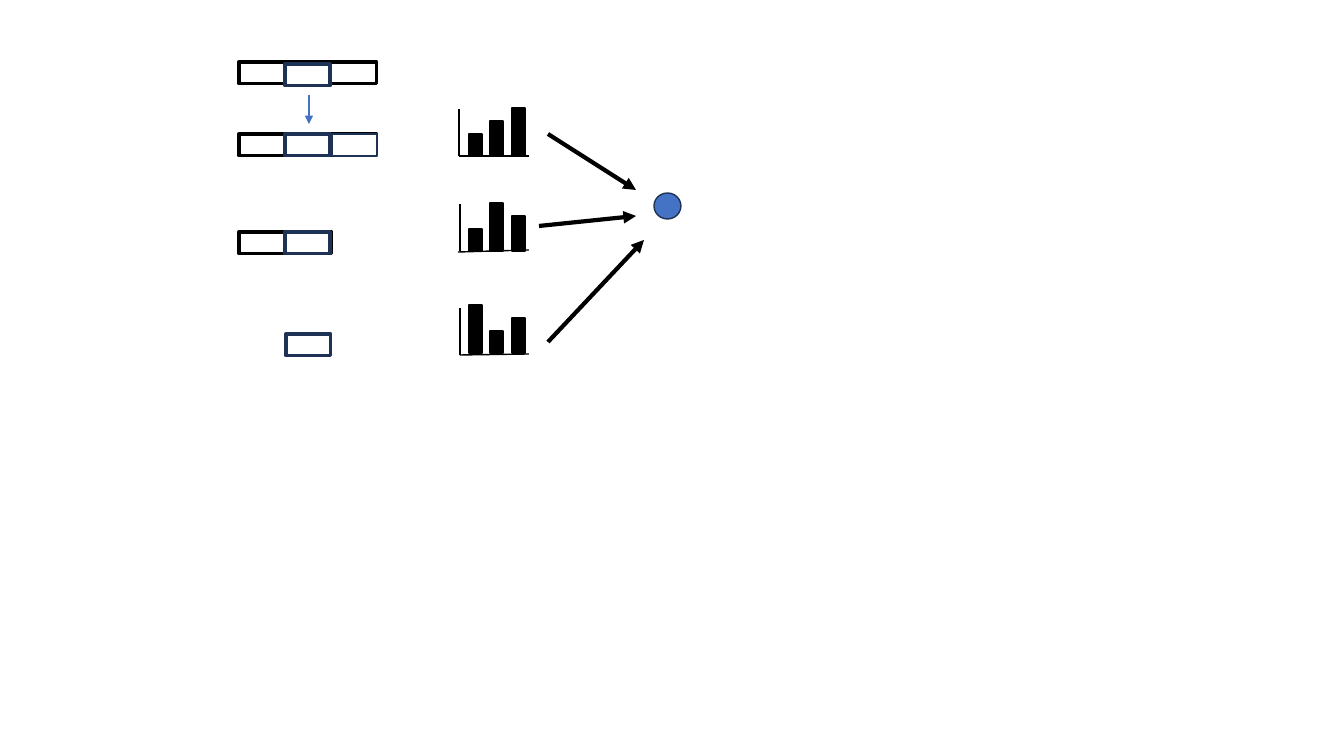
"""Build a slide of token windows, their distributions and a shared result node."""
from lxml.etree import SubElement
from pptx import Presentation
from pptx.dml.color import RGBColor
from pptx.enum.shapes import MSO_CONNECTOR as Connector, MSO_SHAPE as Shape
from pptx.oxml.ns import qn
from pptx.util import Pt

COLORS = {"white": "FFFFFF", "black": "000000", "navy": "1E3256", "blue": "4472C4"}
PX = 914400 / 100.8

CELL_HEIGHT = 22
CELLS = [
    (239, 62, 138, "black", 2.25),
    (239, 134, 138, "black", 2.25),
    (239, 232, 93, "black", 2.25),
    (285, 64, 45, "navy", 2.25),
    (332, 134, 45, "navy", 1),
    (285, 232, 45, "navy", 2.25),
    (285, 134, 45, "navy", 2.25),
    (286, 334, 45, "navy", 2.25),
]

BAR_LEFTS = (469, 490, 512)
BAR_WIDTH = 13
AXIS_HEIGHT = 47
DISTRIBUTIONS = [
    {"heights": (22, 35, 48), "base": 156, "axis": (459, 156), "start": (459, 156), "end": (529, 156)},
    {"heights": (22, 48, 35), "base": 251, "axis": (460, 251), "start": (458, 252), "end": (529, 250)},
    {"heights": (48, 22, 35), "base": 353, "axis": (460, 355), "start": (460, 355), "end": (529, 354)},
]

ARROWS = [
    ((309, 95), (309, 124), "blue", 1.5),
    ((548, 134), (636, 190), "black", 3),
    ((539, 226), (636, 216), "black", 3),
    ((548, 342), (644, 240), "black", 3),
]
NODE = (654, 193, 27, 26)


def emu(*lengths):
    return [round(length * PX) for length in lengths]


def add_box(slide, kind, box, fill, line, weight):
    shape = slide.shapes.add_shape(kind, *emu(*box))
    shape.shadow.inherit = False
    shape.fill.solid()
    shape.fill.fore_color.rgb = RGBColor.from_string(COLORS[fill])
    shape.line.color.rgb = RGBColor.from_string(COLORS[line])
    shape.line.width = Pt(weight)


def add_line(slide, start, end, color, weight, arrow=False):
    connector = slide.shapes.add_connector(Connector.STRAIGHT, *emu(*start, *end))
    connector.line.color.rgb = RGBColor.from_string(COLORS[color])
    connector.line.width = Pt(weight)
    if arrow:
        SubElement(connector.line._get_or_add_ln(), qn("a:tailEnd"), type="triangle")
    SubElement(connector._element.spPr, qn("a:effectLst"))


def add_distribution(slide, heights, base, axis, start, end):
    axis_left, axis_bottom = axis
    add_line(slide, axis, (axis_left, axis_bottom - AXIS_HEIGHT), "black", 1)
    add_line(slide, start, end, "black", 1)
    for left, height in zip(BAR_LEFTS, heights):
        box = (left, base - height, BAR_WIDTH, height)
        add_box(slide, Shape.RECTANGLE, box, "black", "black", 1)


def main():
    presentation = Presentation()
    presentation.slide_width, presentation.slide_height = emu(1344, 756)
    slide = presentation.slides.add_slide(presentation.slide_layouts[6])
    for left, top, width, line, weight in CELLS:
        box = (left, top, width, CELL_HEIGHT)
        add_box(slide, Shape.RECTANGLE, box, "white", line, weight)
    for distribution in DISTRIBUTIONS:
        add_distribution(slide, **distribution)
    for start, end, color, weight in ARROWS:
        add_line(slide, start, end, color, weight, arrow=True)
    add_box(slide, Shape.OVAL, NODE, "blue", "navy", 1)
    presentation.save("out.pptx")


if __name__ == "__main__":
    main()
